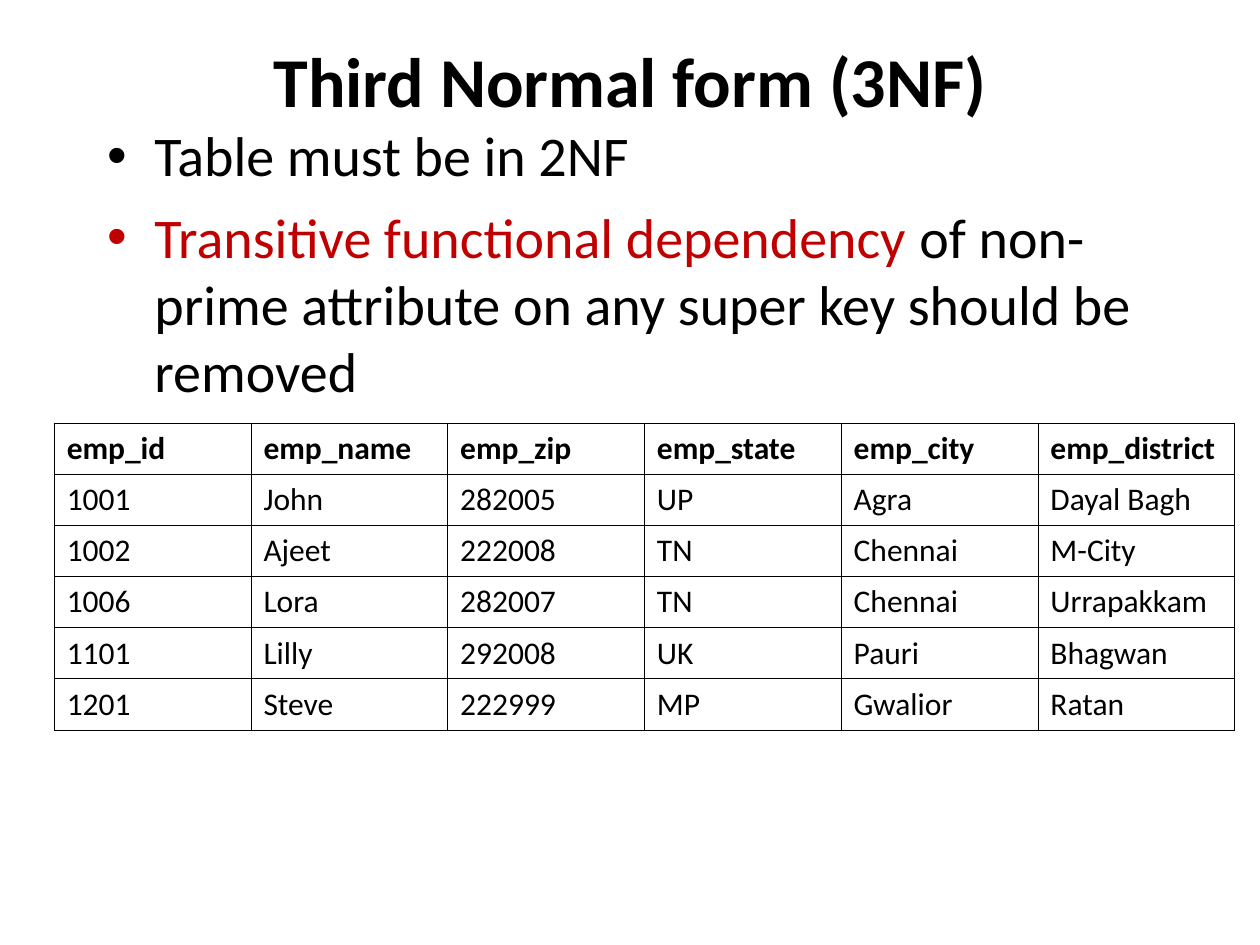
"""Build a slide that explains third normal form with an employee table."""
import dataclasses

import lxml.etree
import pptx
import pptx.dml.color
import pptx.enum.text
import pptx.oxml.ns
import pptx.util

Inches = pptx.util.Inches
Pt = pptx.util.Pt


@dataclasses.dataclass(frozen=True)
class Theme:
    font: str = "Calibri"
    ink: str = "000000"
    accent: str = "C00000"
    title: int = 40
    body: int = 32
    cell: int = 18
    gap: int = 8
    rule: float = 0.45


THEME = Theme()
POINTS = [
    [("Table must be in 2NF", THEME.ink)],
    [
        ("Transitive functional dependency", THEME.accent),
        (" of non-prime attribute on any super key should be removed", THEME.ink),
    ],
]
STAFF = [
    ["emp_id", "emp_name", "emp_zip", "emp_state", "emp_city", "emp_district"],
    ["1001", "John", "282005", "UP", "Agra", "Dayal Bagh"],
    ["1002", "Ajeet", "222008", "TN", "Chennai", "M-City"],
    ["1006", "Lora", "282007", "TN", "Chennai", "Urrapakkam"],
    ["1101", "Lilly", "292008", "UK", "Pauri", "Bhagwan"],
    ["1201", "Steve", "222999", "MP", "Gwalior", "Ratan"],
]


def place(shape, left, top, width, height):
    shape.left, shape.top = Inches(left), Inches(top)
    shape.width, shape.height = Inches(width), Inches(height)


def add_run(para, text, size, color=THEME.ink, bold=False):
    run = para.add_run()
    run.text = text
    font = run.font
    font.name, font.size, font.bold = THEME.font, Pt(size), bold
    font.color.rgb = pptx.dml.color.RGBColor.from_string(color)


def add_node(parent, tag, **attrs):
    return lxml.etree.SubElement(parent, pptx.oxml.ns.qn(tag), **attrs)


def set_bullet(para, color):
    props = para._p.get_or_add_pPr()
    add_node(add_node(props, "a:buClr"), "a:srgbClr", val=color)
    add_node(props, "a:buChar", char="•")


def set_border(cell):
    props = cell._tc.get_or_add_tcPr()
    for side in ("a:lnL", "a:lnR", "a:lnT", "a:lnB"):
        line = add_node(props, side, w=str(Pt(THEME.rule)))
        add_node(add_node(line, "a:solidFill"), "a:srgbClr", val=THEME.ink)


def fill_title(shape):
    place(shape, 0.5, 0.3, 9, 1.25)
    frame = shape.text_frame
    frame.auto_size = pptx.enum.text.MSO_AUTO_SIZE.NONE
    frame.vertical_anchor = pptx.enum.text.MSO_ANCHOR.TOP
    frame.margin_top = 0
    para = frame.paragraphs[0]
    para.alignment = pptx.enum.text.PP_ALIGN.CENTER
    add_run(para, "Third Normal form (3NF)", THEME.title, bold=True)


def fill_list(shape, points):
    place(shape, 0.75, 0.91, 9, 4.95)
    frame = shape.text_frame
    frame.auto_size = pptx.enum.text.MSO_AUTO_SIZE.NONE
    for num, parts in enumerate(points):
        para = frame.add_paragraph() if num else frame.paragraphs[0]
        para.space_before = Pt(THEME.gap)
        set_bullet(para, parts[0][1])
        for text, color in parts:
            add_run(para, text, THEME.body, color)


def add_grid(slide, rows):
    frame = slide.shapes.add_table(
        len(rows), len(rows[0]),
        Inches(0.43), Inches(3.36), Inches(9.37), Inches(2.4) + Inches(0.04),
    )
    table = frame.table
    table.horz_banding = False
    for row in table.rows:
        row.height = Inches(0.4)
    for top, row in enumerate(rows):
        for left, text in enumerate(row):
            cell = table.cell(top, left)
            cell.vertical_anchor = pptx.enum.text.MSO_ANCHOR.MIDDLE
            set_border(cell)
            cell.fill.background()
            add_run(cell.text_frame.paragraphs[0], text, THEME.cell, bold=top == 0)


def main():
    deck = pptx.Presentation()
    deck.slide_width, deck.slide_height = Inches(10), Inches(7.5)
    slide = deck.slides.add_slide(deck.slide_layouts[1])
    fill_title(slide.shapes.title)
    fill_list(slide.placeholders[1], POINTS)
    add_grid(slide, STAFF)
    deck.save("out.pptx")


if __name__ == "__main__":
    main()
